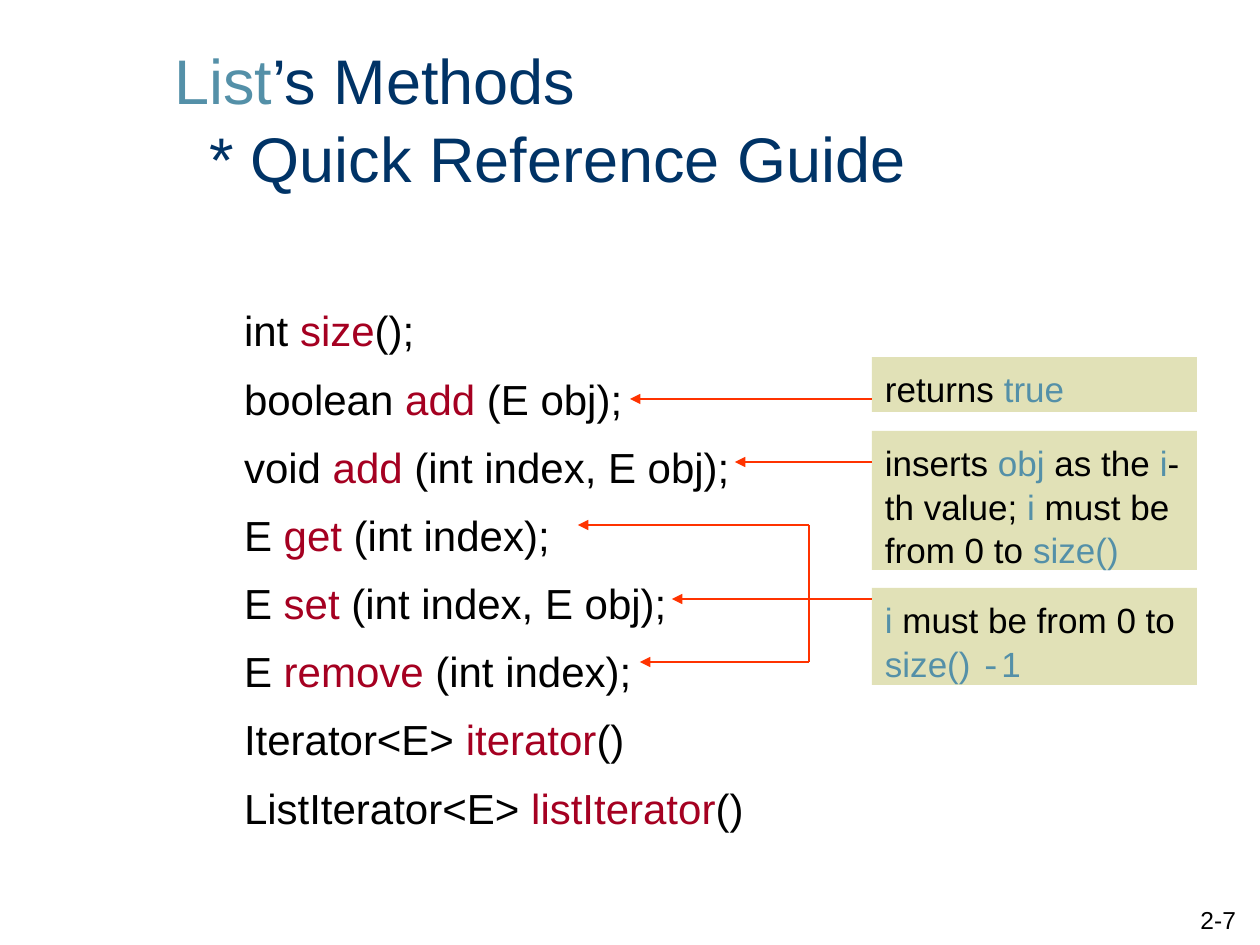
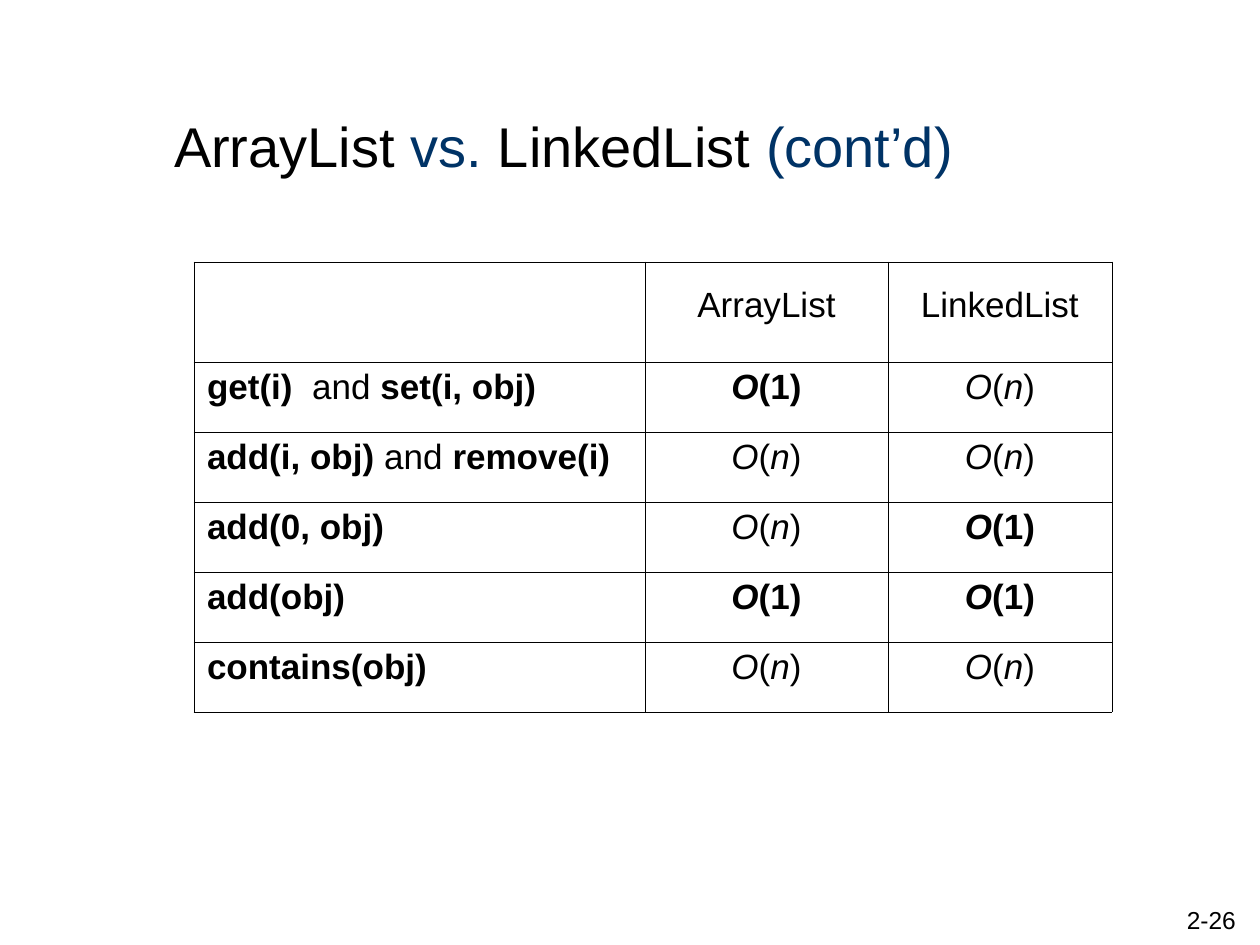
"""Build two slides on the List interface: its methods and its running times."""
import dataclasses
import typing

import lxml.etree
import pptx
import pptx.dml.color
import pptx.enum.shapes
import pptx.enum.text
import pptx.oxml
import pptx.oxml.ns
import pptx.util

EMU_PER_PX = 914400 / 126
FONT = "Arial"
COLORS = {
    "text": "000000",
    "title": "003366",
    "code": "5490A8",
    "method": "A50021",
    "note": "E1E1B7",
    "arrow": "FF3300",
}
LEFT, CENTER, RIGHT = (
    pptx.enum.text.PP_ALIGN.LEFT,
    pptx.enum.text.PP_ALIGN.CENTER,
    pptx.enum.text.PP_ALIGN.RIGHT,
)
TOP, MIDDLE = pptx.enum.text.MSO_ANCHOR.TOP, pptx.enum.text.MSO_ANCHOR.MIDDLE


class Box(typing.NamedTuple):
    left: int
    top: int
    width: int
    height: int


@dataclasses.dataclass(frozen=True)
class Span:
    text: str
    color: str = "text"
    bold: bool = False
    italic: bool = False
    font: str = FONT


@dataclasses.dataclass(frozen=True)
class Style:
    size: int
    align: typing.Any = LEFT
    line_spacing: float = 1.04
    space_before: int = 0


@dataclasses.dataclass(frozen=True)
class Note:
    top: int
    height: int
    spans: list[Span]


@dataclasses.dataclass(frozen=True)
class Line:
    start: tuple[int, int]
    end: tuple[int, int]
    arrow: bool = True


Spans = list[Span]

NOTE_LEFT, NOTE_WIDTH, BRACKET_X = 872, 325, 809
GET_Y, SET_Y, REMOVE_Y = 525, 599, 662

METHODS = [
    ("int ", "size", "();"),
    ("boolean ", "add ", "(E obj);"),
    ("void ", "add ", "(int index, E obj);"),
    ("E ", "get ", "(int index);"),
    ("E ", "set ", "(int index, E obj);"),
    ("E ", "remove ", "(int index);"),
    ("Iterator<E> ", "iterator", "()"),
    ("ListIterator<E> ", "listIterator", "()"),
]
NOTES = [
    Note(357, 55, [Span("returns "), Span("true", "code")]),
    Note(431, 139, [
        Span("inserts "), Span("obj", "code"), Span(" as the "),
        Span("i", "code"), Span("-th value; "), Span("i", "code"),
        Span(" must be from 0 to "), Span("size()", "code"),
    ]),
    Note(588, 97, [
        Span("i", "code"), Span(" must be from 0 to "), Span("size() ", "code"),
        Span("-", "code", font="Courier New"), Span("1", "code"),
    ]),
]
LINES = [
    Line((NOTE_LEFT, 399), (630, 399)),
    Line((NOTE_LEFT, 462), (735, 462)),
    Line((BRACKET_X, GET_Y), (578, GET_Y)),
    Line((BRACKET_X, SET_Y), (672, SET_Y)),
    Line((BRACKET_X, REMOVE_Y), (640, REMOVE_Y)),
    Line((BRACKET_X, REMOVE_Y), (BRACKET_X, GET_Y), arrow=False),
    Line((NOTE_LEFT, SET_Y), (BRACKET_X, SET_Y), arrow=False),
]

CONSTANT = [Span("O", bold=True, italic=True), Span("(1)", bold=True)]
LINEAR = [Span("O", italic=True), Span("("), Span("n", italic=True), Span(")")]
COLUMN_WIDTHS = [451, 243, 224]
HEADER_HEIGHT, ROW_HEIGHT = 100, 70
HEADER = [[], [Span("ArrayList")], [Span("LinkedList")]]
RUNNING_TIMES = [
    [[Span("get(i)", bold=True), Span("  and "), Span("set(i, obj)", bold=True)],
     CONSTANT, LINEAR],
    [[Span("add(i, obj)", bold=True), Span(" and "), Span("remove(i)", bold=True)],
     LINEAR, LINEAR],
    [[Span("add(0, obj)", bold=True)], LINEAR, CONSTANT],
    [[Span("add(obj)", bold=True)], CONSTANT, CONSTANT],
    [[Span("contains(obj)", bold=True)], LINEAR, LINEAR],
]


def px(length: float) -> pptx.util.Emu:
    return pptx.util.Emu(round(length * EMU_PER_PX))


def rgb(name: str) -> pptx.dml.color.RGBColor:
    return pptx.dml.color.RGBColor.from_string(COLORS[name])


def place(shape: typing.Any, box: Box) -> None:
    shape.left, shape.top, shape.width, shape.height = map(px, box)


def fill_para(para: typing.Any, spans: Spans, style: Style, indent: int = 0) -> None:
    properties = para._p.get_or_add_pPr()
    properties.set("marL", str(px(indent)))
    properties.set("indent", "0")
    lxml.etree.SubElement(properties, pptx.oxml.ns.qn("a:buNone"))
    para.alignment = style.align
    para.line_spacing = style.line_spacing
    para.space_before = pptx.util.Pt(style.space_before)
    for span in spans:
        run = para.add_run()
        run.text = span.text
        run.font.name = span.font
        run.font.size = pptx.util.Pt(style.size)
        run.font.bold = span.bold
        run.font.italic = span.italic
        run.font.color.rgb = rgb(span.color)


def fill_frame(shape: typing.Any, lines: list[Spans], style: Style,
               indents: list[int], anchor: typing.Any = TOP) -> None:
    frame = shape.text_frame
    frame.word_wrap = True
    frame.auto_size = pptx.enum.text.MSO_AUTO_SIZE.NONE
    frame.vertical_anchor = anchor
    frame.margin_left = frame.margin_right = px(13)
    frame.margin_top, frame.margin_bottom = px(9), px(6)
    for index, (spans, indent) in enumerate(zip(lines, indents)):
        para = frame.add_paragraph() if index else frame.paragraphs[0]
        para_style = style if index else dataclasses.replace(style, space_before=0)
        fill_para(para, spans, para_style, indent)


def add_page(deck: typing.Any, layout: int, number: str, title_box: Box,
             title: list[Spans], title_size: int, indents: list[int]) -> typing.Any:
    page = deck.slides.add_slide(deck.slide_layouts[layout])
    place(page.shapes.title, title_box)
    fill_frame(page.shapes.title, title, Style(title_size), indents, MIDDLE)
    number_box = page.shapes.add_textbox(*map(px, Box(987, 895, 262, 50)))
    fill_frame(number_box, [[Span(number)]], Style(14, RIGHT), [0])
    return page


def add_note(page: typing.Any, note: Note) -> None:
    box = Box(NOTE_LEFT, note.top, NOTE_WIDTH, note.height)
    shape = page.shapes.add_shape(
        pptx.enum.shapes.MSO_SHAPE.RECTANGLE, *map(px, box))
    shape.shadow.inherit = False
    shape.fill.solid()
    shape.fill.fore_color.rgb = rgb("note")
    shape.line.fill.background()
    fill_frame(shape, [note.spans], Style(20), [0])


def add_line(page: typing.Any, line: Line) -> None:
    connector = page.shapes.add_connector(
        pptx.enum.shapes.MSO_CONNECTOR.STRAIGHT, *map(px, line.start + line.end))
    connector.line.color.rgb = rgb("arrow")
    connector.line.width = pptx.util.Pt(0.75)
    if line.arrow:
        lxml.etree.SubElement(connector.line._get_or_add_ln(),
                              pptx.oxml.ns.qn("a:tailEnd"), type="triangle")
    lxml.etree.SubElement(connector._element.spPr, pptx.oxml.ns.qn("a:effectLst"))


def fill_cell(cell: typing.Any, spans: Spans, align: typing.Any, top: int) -> None:
    properties = cell._tc.get_or_add_tcPr()
    for side in "LRTB":
        properties.append(pptx.oxml.parse_xml(
            f'<a:ln{side} {pptx.oxml.ns.nsdecls("a")} w="{pptx.util.Pt(0.45)}">'
            f'<a:solidFill><a:srgbClr val="{COLORS["text"]}"/></a:solidFill>'
            f'</a:ln{side}>'))
    cell.fill.background()
    cell.margin_left = cell.margin_right = px(13)
    cell.margin_top, cell.margin_bottom = px(top), px(6)
    fill_para(cell.text_frame.paragraphs[0], spans, Style(20, align, 1.0))


def add_running_times(page: typing.Any) -> None:
    rows = [HEADER, *RUNNING_TIMES]
    heights = [HEADER_HEIGHT] + [ROW_HEIGHT] * len(RUNNING_TIMES)
    box = Box(194, 262, sum(COLUMN_WIDTHS), sum(heights))
    table = page.shapes.add_table(
        len(rows), len(COLUMN_WIDTHS), *map(px, box)).table
    table.first_row = table.horz_banding = False
    for column, width in zip(table.columns, COLUMN_WIDTHS):
        column.width = px(width)
    for row_index, (cells, height) in enumerate(zip(rows, heights)):
        table.rows[row_index].height = px(height)
        for column_index, spans in enumerate(cells):
            fill_cell(table.cell(row_index, column_index), spans,
                      CENTER if column_index else LEFT, 6 if row_index else 24)


def add_methods_page(deck: typing.Any) -> None:
    title = [[Span("List", "code"), Span("’s Methods", "title")],
             [Span("* Quick Reference Guide", "title")]]
    page = add_page(deck, 1, "2-7", Box(161, 63, 1004, 105), title, 36, [0, 35])
    body = page.placeholders[1]
    place(body, Box(168, 294, 672, 527))
    lines = [[Span(result), Span(name, "method"), Span(arguments)]
             for result, name, arguments in METHODS]
    fill_frame(body, lines, Style(24, space_before=9), [63] * len(lines))
    for note in NOTES:
        add_note(page, note)
    for line in LINES:
        add_line(page, line)


def add_comparison_page(deck: typing.Any) -> None:
    title = [[Span("ArrayList"), Span(" vs. ", "title"),
              Span("LinkedList "), Span("(cont’d)", "title")]]
    page = add_page(deck, 5, "2-26", Box(161, 63, 1071, 158), title, 32, [0])
    add_running_times(page)


def main() -> None:
    deck = pptx.Presentation()
    deck.slide_width, deck.slide_height = px(1260), px(945)
    add_methods_page(deck)
    add_comparison_page(deck)
    deck.save("out.pptx")


if __name__ == "__main__":
    main()
